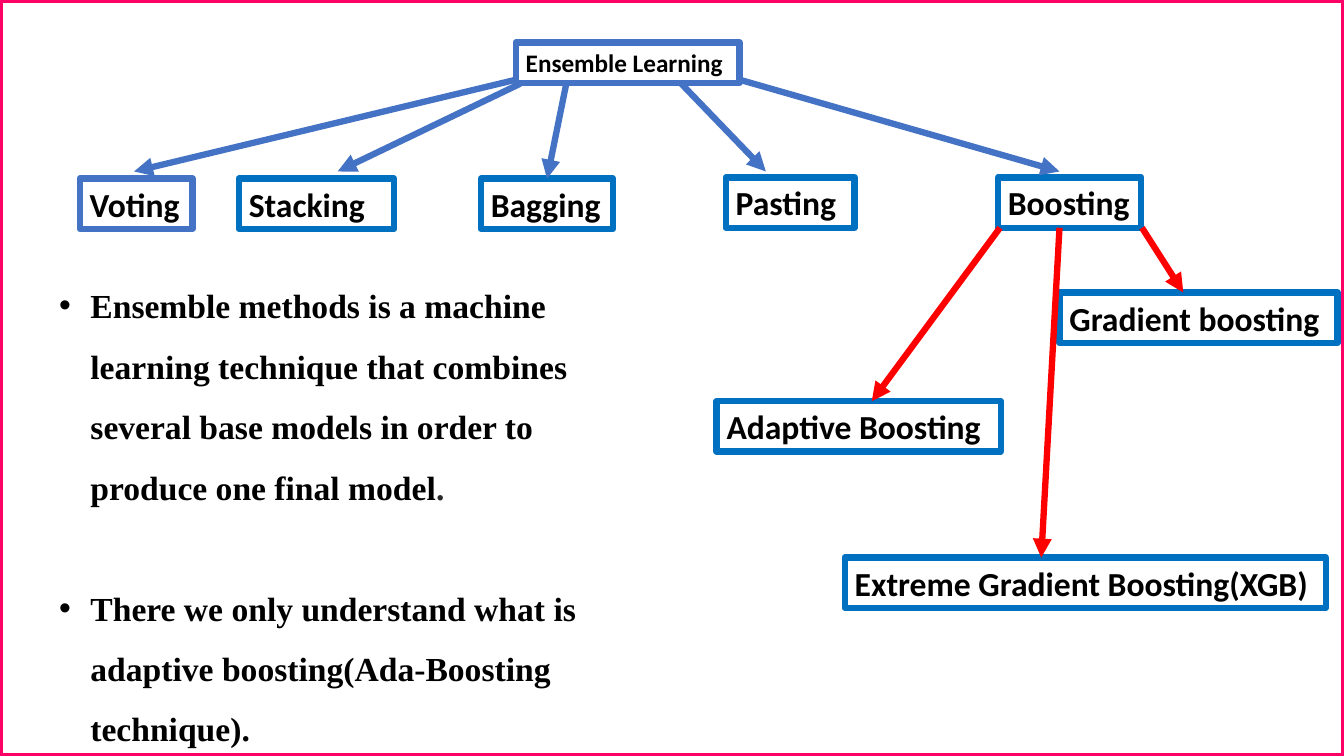
import pptx
import pptx.util
import pptx.dml.color
import pptx.enum.shapes
import pptx.enum.text
import pptx.oxml
import pptx.oxml.ns

Cm = pptx.util.Cm
Pt = pptx.util.Pt

COLORS = {
    "root": "4472C4", "method": "0070C0", "variant": "FF0000",
    "frame": "FF0066", "text": "000000", "full_stop": "292929",
}
SLIDE_WIDTH, SLIDE_HEIGHT = 33.87, 19.05
LINE_WIDTH = Pt(4.5)
NODE_HEIGHT = 1.27

# text, left, top, width, height, text size, outline
NODES = [
    ("Ensemble Learning", 13.0, 1.07, 5.64, 1.02, 18, "root"),
    ("Voting", 2.01, 4.5, 2.84, NODE_HEIGHT, 24, "root"),
    ("Bagging", 12.12, 4.5, 3.33, NODE_HEIGHT, 24, "method"),
    ("Pasting", 18.29, 4.47, 3.25, NODE_HEIGHT, 24, "method"),
    ("Stacking", 6.02, 4.5, 3.91, NODE_HEIGHT, 24, "method"),
    ("Boosting", 25.15, 4.47, 3.61, NODE_HEIGHT, 24, "method"),
    ("Adaptive Boosting", 18.06, 10.11, 7.16, NODE_HEIGHT, 24, "method"),
    ("Gradient boosting", 26.7, 7.37, 7.01, NODE_HEIGHT, 24, "method"),
    ("Extreme Gradient Boosting(XGB)", 21.29, 14.05, 12.12, NODE_HEIGHT, 24, "method"),
]

# start, end, color, node whose top side the arrow joins
ARROWS = [
    ((13.0, 2.01), (3.38, 4.32), "root", None),
    ((13.11, 2.11), (8.51, 4.32), "root", None),
    ((14.27, 2.11), (13.78, 4.5), "root", "Bagging"),
    ((17.17, 2.11), (19.3, 4.32), "root", None),
    ((18.64, 2.01), (26.7, 4.32), "root", None),
    ((25.2, 5.74), (21.97, 10.11), "variant", None),
    ((28.78, 5.74), (29.82, 7.37), "variant", None),
    ((26.7, 5.74), (26.24, 14.05), "variant", None),
]

NOTES_BOX = (1.24, 6.55, 15.01, 12.4)
NOTES = [
    [("Ensemble methods is a machine learning technique that combines several "
      "base models in order to produce one final model", "text"),
     (".", "full_stop")],
    [("There we only understand what is adaptive boosting(Ada-Boosting technique).",
      "text")],
]
BULLET_INDENT = 0.79
NOTE_GAP = Pt(43.2)


def rgb(name):
    return pptx.dml.color.RGBColor.from_string(COLORS[name])


def set_attributes(target, values):
    for name, value in values.items():
        setattr(target, name, value)


def add_run(paragraph, text, size, font, color):
    run = paragraph.add_run()
    run.text = text
    set_attributes(run.font, {"size": Pt(size), "name": font, "bold": True})
    run.font.color.rgb = rgb(color)


def add_child(parent, tag, **attributes):
    child = pptx.oxml.parse_xml(f"<a:{tag} {pptx.oxml.ns.nsdecls('a')}/>")
    for name, value in attributes.items():
        child.set(name, str(value))
    parent.append(child)


def add_outline(slide, left, top, width, height, color):
    """Add an unfilled rectangle with a thick outline."""
    shape = slide.shapes.add_shape(
        pptx.enum.shapes.MSO_SHAPE.RECTANGLE, Cm(left), Cm(top), Cm(width), Cm(height))
    shape.shadow.inherit = False
    shape.fill.background()
    shape.line.color.rgb = rgb(color)
    shape.line.width = LINE_WIDTH
    return shape


def add_node(slide, text, left, top, width, height, size, color):
    shape = add_outline(slide, left, top, width, height, color)
    set_attributes(shape.text_frame, {
        "word_wrap": True,
        "vertical_anchor": pptx.enum.text.MSO_ANCHOR.TOP,
        "auto_size": pptx.enum.text.MSO_AUTO_SIZE.SHAPE_TO_FIT_TEXT,
    })
    paragraph = shape.text_frame.paragraphs[0]
    paragraph.alignment = pptx.enum.text.PP_ALIGN.LEFT
    add_run(paragraph, text, size, "Calibri", color="text")
    return shape


def add_arrow(slide, start, end, color, target):
    arrow = slide.shapes.add_connector(
        pptx.enum.shapes.MSO_CONNECTOR.STRAIGHT, *map(Cm, start + end))
    if target is not None:
        arrow.end_connect(target, 0)
    arrow.line.color.rgb = rgb(color)
    arrow.line.width = LINE_WIDTH
    add_child(arrow.line._get_or_add_ln(), "tailEnd", type="triangle")
    add_child(arrow._element.spPr, "effectLst")


def add_notes(slide):
    frame = slide.shapes.add_textbox(*map(Cm, NOTES_BOX)).text_frame
    set_attributes(frame, {
        "word_wrap": True,
        "auto_size": pptx.enum.text.MSO_AUTO_SIZE.SHAPE_TO_FIT_TEXT,
    })
    for index, runs in enumerate(NOTES):
        paragraph = frame.add_paragraph() if index else frame.paragraphs[0]
        set_attributes(paragraph, {
            "line_spacing": 1.5, "space_before": NOTE_GAP if index else Pt(0)})
        properties = paragraph._p.get_or_add_pPr()
        properties.set("marL", str(Cm(BULLET_INDENT)))
        properties.set("indent", str(-Cm(BULLET_INDENT)))
        add_child(properties, "buFont", typeface="Arial")
        add_child(properties, "buChar", char="•")
        for text, color in runs:
            add_run(paragraph, text, 24, "Times New Roman", color)


def main():
    presentation = pptx.Presentation()
    presentation.slide_width = Cm(SLIDE_WIDTH)
    presentation.slide_height = Cm(SLIDE_HEIGHT)
    slide = presentation.slides.add_slide(presentation.slide_layouts[6])

    nodes = {node[0]: add_node(slide, *node) for node in NODES}
    for start, end, color, target in ARROWS:
        add_arrow(slide, start, end, color, nodes.get(target))
    add_notes(slide)
    add_outline(slide, 0, 0, SLIDE_WIDTH, SLIDE_HEIGHT, "frame")

    presentation.save("out.pptx")


if __name__ == "__main__":
    main()
